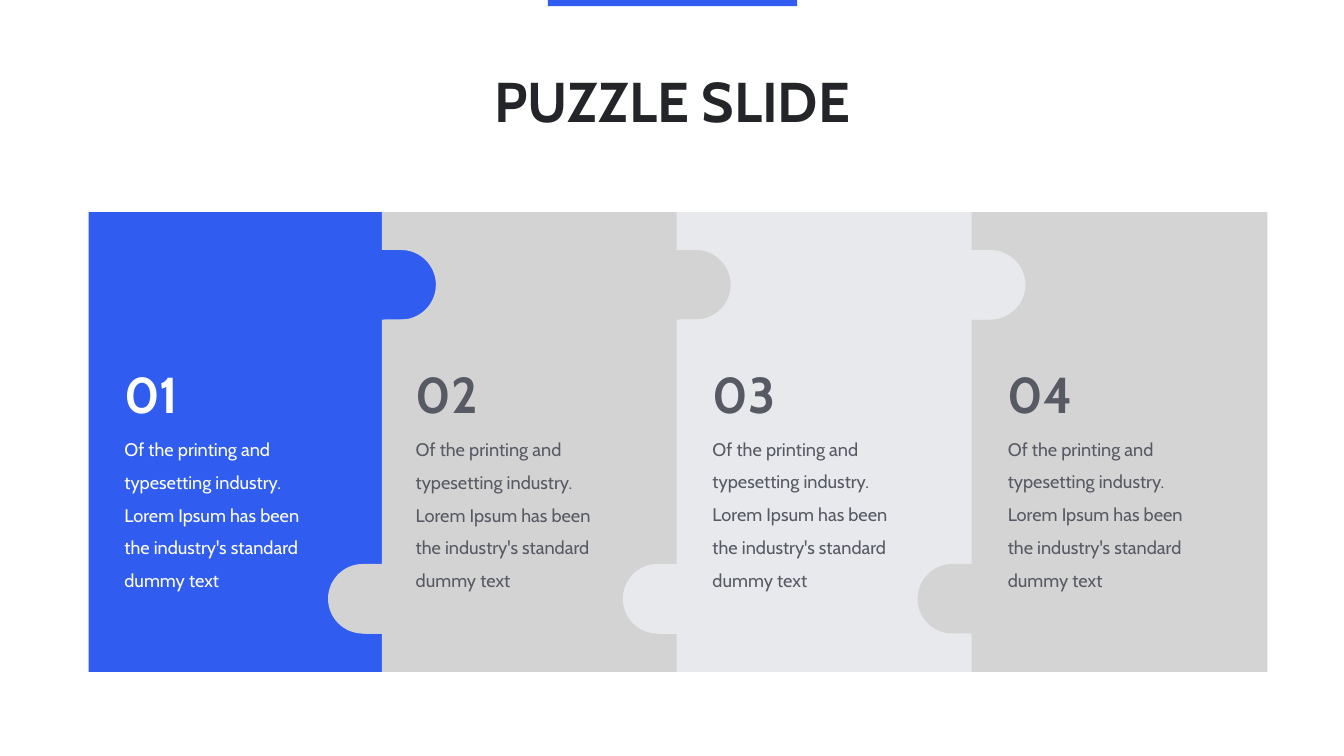
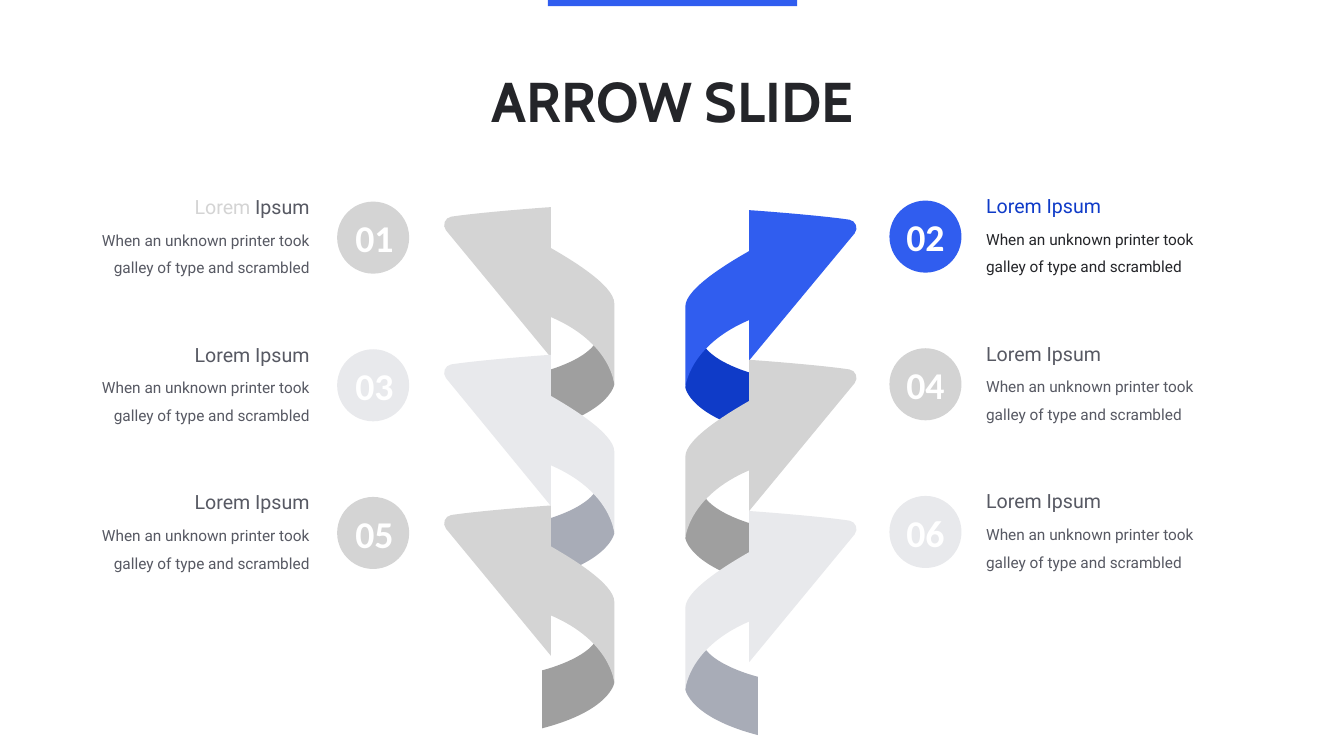
from lxml.etree import SubElement
from pptx import Presentation
from pptx.dml.color import RGBColor
from pptx.enum.shapes import MSO_SHAPE
from pptx.enum.text import MSO_ANCHOR, PP_ALIGN
from pptx.oxml.ns import qn
from pptx.util import Inches, Pt

BLUE = RGBColor(0x30, 0x5D, 0xEF)
DARK_BLUE = RGBColor(0x0F, 0x3B, 0xC8)
GRAY = RGBColor(0xD4, 0xD4, 0xD4)
MID_GRAY = RGBColor(0xD3, 0xD3, 0xD3)
LIGHT = RGBColor(0xE8, 0xE9, 0xEC)
DARK_GRAY = RGBColor(0x9F, 0x9F, 0x9F)
SLATE = RGBColor(0xA8, 0xAC, 0xB7)
INK = RGBColor(0x24, 0x25, 0x29)
TEXT_GRAY = RGBColor(0x57, 0x59, 0x63)
WHITE = RGBColor(0xFF, 0xFF, 0xFF)

HEADING_FONT, BODY_FONT, NUMBER_FONT = "Cabin", "Roboto", "Calibri"

# Arrow outlines in inches: a pair is a corner, six numbers are a curve
RIBBON_WIDTH, RIBBON_HEIGHT = 3.42, 3.52
ARROW = [(0.18, 0.19), (0.77, 0.1, 2.12, 0, 2.16, 0), (2.16, 0.81),
         (2.49, 1, 3.42, 1.54, 3.42, 1.91), (3.42, 3.52),
         (3.42, 3.52, 3.36, 2.69, 2.16, 2.18), (2.16, 2.98),
         (0.08, 0.46), (0, 0.36, 0.06, 0.21, 0.18, 0.19)]
FOLD = [(3.27, 2.37), (3.42, 3.52), (3.42, 3.52, 3.34, 4.07, 1.99, 4.42),
        (1.99, 3.27), (1.99, 3.27, 3.37, 2.93, 3.07, 2.31)]


def paint(shape, color):
    shape.shadow.inherit = False
    shape.fill.solid()
    shape.fill.fore_color.rgb = color
    shape.line.fill.background()


def add_preset(shapes, kind, left, top, width, height, color):
    shape = shapes.add_shape(kind, Inches(left), Inches(top), Inches(width), Inches(height))
    paint(shape, color)
    return shape


def pairs(part):
    return list(zip(part[::2], part[1::2]))


def add_outline(slide, outline, color):
    """Draw an outline of corners and curves as one freeform."""
    points = [(Inches(x), Inches(y)) for part in outline for x, y in pairs(part)]
    builder = slide.shapes.build_freeform(*points[0], scale=1.0)
    builder.add_line_segments(points[1:], close=True)
    shape = builder.convert_to_shape()
    paint(shape, color)
    # Merge the three segments of each curve into one Bézier segment
    segments = iter(list(shape._element.iter(qn("a:lnTo"))))
    for part in outline[1:]:
        group = [next(segments) for _ in pairs(part)]
        if len(group) == 3:
            parent = group[0].getparent()
            curve = SubElement(parent, qn("a:cubicBezTo"))
            parent.replace(group[0], curve)
            for segment in group:
                curve.append(segment[0])
            for segment in group[1:]:
                parent.remove(segment)


def add_run(paragraph, text, font, size, color, bold=False):
    run = paragraph.add_run()
    run.text = text
    run.font.name = font
    run.font.size = Pt(size)
    run.font.bold = bold
    run.font.color.rgb = color


def add_text_frame(shapes, left, top, width, height):
    box = shapes.add_textbox(Inches(left), Inches(top), Inches(width), Inches(height))
    box.text_frame.word_wrap = True
    return box.text_frame


def add_body(frame, text, font, size, color, align):
    paragraph = frame.add_paragraph()
    paragraph.alignment = align
    paragraph.line_spacing = 1.5
    paragraph.space_before = Pt(size * 0.2)
    add_run(paragraph, text, font, size, color)


def add_titled_slide(presentation, title):
    slide = presentation.slides.add_slide(presentation.slide_layouts[6])
    slide.background.fill.solid()
    slide.background.fill.fore_color.rgb = WHITE
    add_preset(slide.shapes, MSO_SHAPE.RECTANGLE, 10.87, 0, 4.95, 0.12, BLUE)
    paragraph = add_text_frame(slide.shapes, 1.75, 1.28, 23.18, 1.39).paragraphs[0]
    paragraph.alignment = PP_ALIGN.CENTER
    add_run(paragraph, title, HEADING_FONT, 80, INK, True)
    return slide


# Puzzle slide
def knob(x, y, side, step, radius=0.69, neck=0.38, pull=0.38):
    """A knob on the vertical edge x, drawn downwards (step 1) or upwards (step -1)."""
    base, tip = x + side * neck, x + side * (neck + radius)
    bend = base + side * pull
    start, end = y - step * radius, y + step * radius
    return [(x, start), (base, start),
            (bend, start, tip, y - step * pull, tip, y),
            (tip, y + step * pull, bend, end, base, end), (x, end)]


def puzzle_edge(x, top, height, interlocking, step):
    parts = [[(x, top)], [(x, top + height)]]
    if interlocking:
        parts[1:1] = [knob(x, top + 1.44, 1, step), knob(x, top + 7.67, -1, step)]
    return [point for part in parts[::step] for point in part]


def add_puzzle(slide, left, top, width, height):
    pieces = [(BLUE, WHITE, 0.61), (MID_GRAY, TEXT_GRAY, 0.54),
              (LIGHT, TEXT_GRAY, 0.58), (GRAY, TEXT_GRAY, 0.59)]
    pitch, overlap = 5.85, 0.05
    last = len(pieces) - 1
    for index, (color, _, _) in enumerate(pieces):
        start = left + index * pitch - (0.03 if index else 0)
        end = left + (index + 1) * pitch - 0.03 + overlap if index < last else left + width
        add_outline(slide, puzzle_edge(end, top, height, index < last, 1)
                    + puzzle_edge(start, top, height, index > 0, -1), color)
    for index, (_, text_color, indent) in enumerate(pieces):
        frame = add_text_frame(slide.shapes, left + index * pitch + indent,
                               top + (2.35 if index < 2 else 2.34), 4.21, 6.21)
        number = frame.paragraphs[0]
        number.line_spacing = 1.5
        add_run(number, f"{index + 1:02}", HEADING_FONT, 72, text_color, True)
        add_body(frame, "Of the printing and typesetting industry. Lorem Ipsum has been "
                 "the industry's standard dummy text", HEADING_FONT, 26, text_color,
                 PP_ALIGN.LEFT)


# Arrow slide
def add_ribbon(slide, left, top, width, height, mirrored, color, fold_color):
    x_scale, y_scale = width / RIBBON_WIDTH, height / RIBBON_HEIGHT

    def place(x, y):
        x *= x_scale
        return left + (width - x if mirrored else x), top + y * y_scale

    for outline, fill in ((FOLD, fold_color), (ARROW, color)):
        placed = [sum((place(x, y) for x, y in pairs(part)), ()) for part in outline]
        add_outline(slide, placed, fill)


def add_arrow_column(slide, left, width, mirrored, ribbons):
    for top, height, color, fold_color in ribbons:
        add_ribbon(slide, left, top, width, height, mirrored, color, fold_color)


def add_item(slide, top, number, circle_color, heading, body_color, on_right):
    text_left, circle_left = (19.47, 17.65) if on_right else (1.29, 6.69)
    align = PP_ALIGN.LEFT if on_right else PP_ALIGN.RIGHT
    group = slide.shapes.add_group_shape()
    frame = add_text_frame(group.shapes, text_left, top, 4.95, 1.79)
    frame.paragraphs[0].alignment = align
    for text, color in heading:
        add_run(frame.paragraphs[0], text, BODY_FONT, 28, color)
    add_body(frame, "When an unknown printer took galley of type and scrambled",
             BODY_FONT, 22, body_color, align)

    circle = add_preset(group.shapes, MSO_SHAPE.OVAL, circle_left, top + 0.18,
                        1.43, 1.43, circle_color)
    circle.text_frame.vertical_anchor = MSO_ANCHOR.MIDDLE
    paragraph = circle.text_frame.paragraphs[0]
    paragraph.alignment = PP_ALIGN.CENTER if on_right else PP_ALIGN.RIGHT
    add_run(paragraph, number, NUMBER_FONT, 54, WHITE, True)


def add_item_column(slide, top, pitch, on_right, items):
    for row, (number, color, heading, body_color) in enumerate(items):
        add_item(slide, top + row * pitch, number, color, heading, body_color, on_right)


def main():
    presentation = Presentation()
    presentation.slide_width = Inches(26.67)
    presentation.slide_height = Inches(15)

    puzzle_slide = add_titled_slide(presentation, "PUZZLE SLIDE")
    add_puzzle(puzzle_slide, 1.76, 4.21, 23.39, 9.12)

    arrow_slide = add_titled_slide(presentation, "ARROW SLIDE")
    add_arrow_column(arrow_slide, 8.77, 3.42, False, [
        (4.11, 3.52, GRAY, DARK_GRAY),
        (7.04, 3.54, LIGHT, SLATE),
        (10.03, 3.52, GRAY, DARK_GRAY)])
    add_arrow_column(arrow_slide, 13.6, 3.44, True, [
        (4.17, 3.52, BLUE, DARK_BLUE),
        (7.14, 3.54, MID_GRAY, DARK_GRAY),
        (10.14, 3.54, LIGHT, SLATE)])
    plain = [("Lorem Ipsum", TEXT_GRAY)]
    add_item_column(arrow_slide, 3.8, 2.93, True, [
        ("02", BLUE, [("Lorem Ipsum", DARK_BLUE)], INK),
        ("04", MID_GRAY, plain, TEXT_GRAY),
        ("06", LIGHT, plain, TEXT_GRAY)])
    add_item_column(arrow_slide, 3.82, 2.93, False, [
        ("01", GRAY, [("Lorem ", GRAY), ("Ipsum", TEXT_GRAY)], TEXT_GRAY),
        ("03", LIGHT, plain, TEXT_GRAY),
        ("05", GRAY, plain, TEXT_GRAY)])

    presentation.save("out.pptx")


if __name__ == "__main__":
    main()
